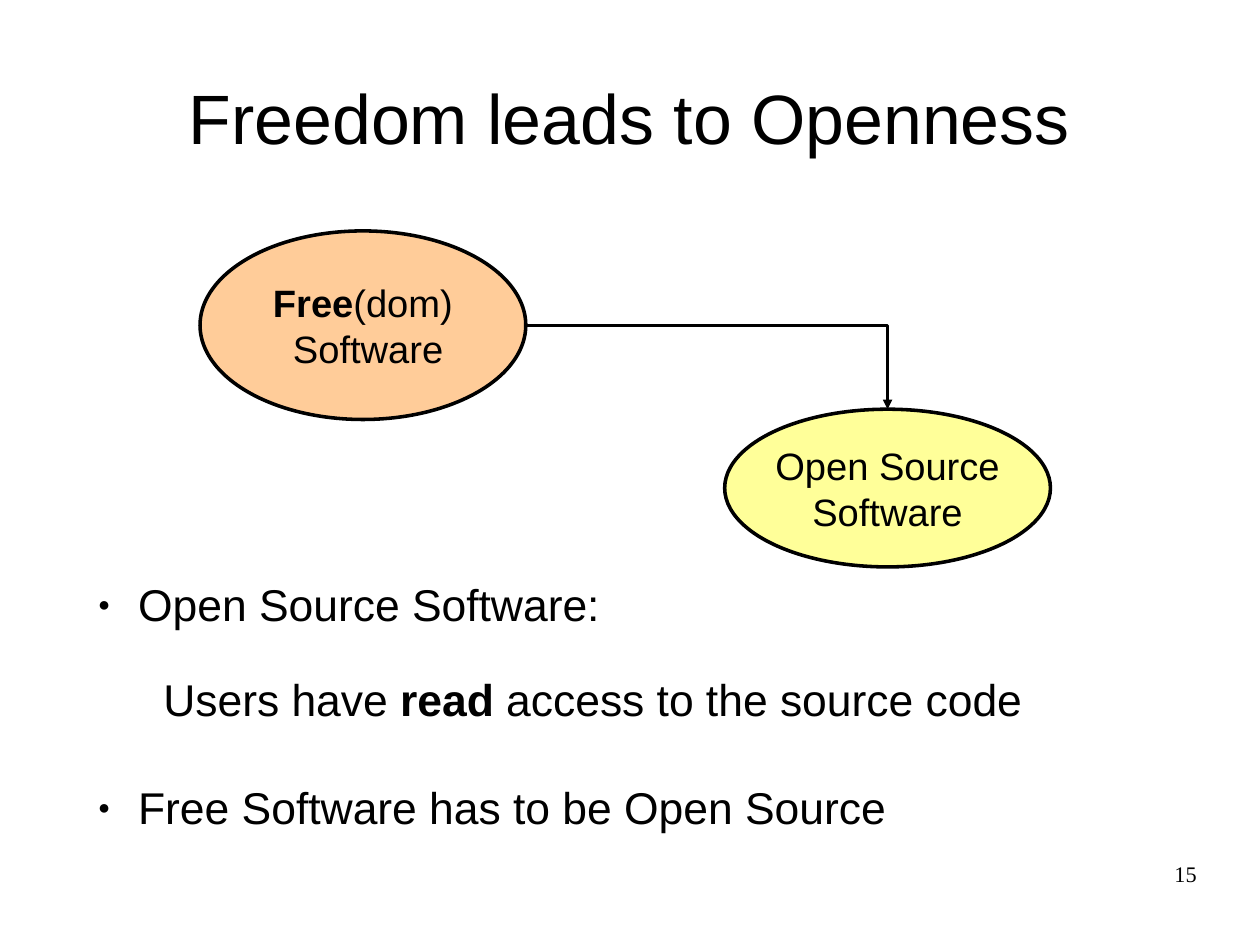
from lxml import etree
from pptx import Presentation
from pptx.dml.color import RGBColor
from pptx.enum.shapes import MSO_CONNECTOR, MSO_SHAPE
from pptx.enum.text import MSO_ANCHOR, PP_ALIGN
from pptx.oxml.ns import qn
from pptx.util import Inches, Pt

ELBOW = MSO_CONNECTOR.ELBOW
OVAL = MSO_SHAPE.OVAL
MIDDLE = MSO_ANCHOR.MIDDLE
LEFT, CENTER, RIGHT = PP_ALIGN.LEFT, PP_ALIGN.CENTER, PP_ALIGN.RIGHT

BLACK = RGBColor(0x00, 0x00, 0x00)
ORANGE = RGBColor(0xFF, 0xCC, 0x99)
YELLOW = RGBColor(0xFF, 0xFF, 0x99)

# Each line is a list of (text, bold) runs.
TITLE = [("Freedom leads to Openness", False)]
FREE_SOFTWARE = [[("Free", True), ("(dom)", False)], [(" Software", False)]]
OPEN_SOURCE = [[("Open Source", False)], [("Software", False)]]
# Runs, bulleted, points of space before
BODY = [
    ([("Open Source Software:", False)], True, 0),
    ([("Users have ", False), ("read", True), (" access to the source code", False)], False, 30),
    ([("Free Software has to be Open Source", False)], True, 37.5),
]
PAGE_NUMBER = [("15", False)]

# The page is 28 by 21 centimetres.
CM_PER_INCH = 2.54
PAGE_SIZE = (28 / CM_PER_INCH, 21 / CM_PER_INCH)
FREE_BOX = (1.75, 2.02, 2.85, 1.65)
OPEN_BOX = (6.34, 3.58, 2.85, 1.38)
OVAL_RIGHT_SITE, OVAL_TOP_SITE = 6, 0


def inches(*values):
    return [Inches(value) for value in values]


def write_runs(paragraph, runs, size, align, font_name="Arial"):
    paragraph.alignment = align
    paragraph.font.name = font_name
    paragraph.font.size = Pt(size)
    paragraph.font.color.rgb = BLACK
    for text, bold in runs:
        run = paragraph.add_run()
        run.text = text
        if bold:
            run.font.bold = True


def next_paragraph(frame, index):
    return frame.add_paragraph() if index else frame.paragraphs[0]


def add_oval(slide, box, fill, lines):
    oval = slide.shapes.add_shape(OVAL, *inches(*box))
    oval.shadow.inherit = False
    oval.fill.solid()
    oval.fill.fore_color.rgb = fill
    oval.line.color.rgb = BLACK
    oval.line.width = Pt(2.25)
    frame = oval.text_frame
    frame.word_wrap = False
    frame.vertical_anchor = MIDDLE
    for index, runs in enumerate(lines):
        write_runs(next_paragraph(frame, index), runs, 24, CENTER)
    return oval


def add_arrow(slide, source, target):
    """Lead from the right of source across, then down to the top of target."""
    arrow = slide.shapes.add_connector(
        ELBOW,
        source.left + source.width, source.top + source.height // 2,
        target.left + target.width // 2, target.top,
    )
    arrow.line.color.rgb = BLACK
    arrow.line.width = Pt(1.75)
    etree.SubElement(arrow.line._get_or_add_ln(), qn("a:tailEnd"), type="triangle")
    properties = arrow._element.spPr
    etree.SubElement(properties, qn("a:effectLst"))
    properties.find(qn("a:prstGeom")).set("prst", "bentConnector2")
    links = arrow._element.find(".//" + qn("p:cNvCxnSpPr"))
    for tag, shape, site in (
        ("a:stCxn", source, OVAL_RIGHT_SITE),
        ("a:endCxn", target, OVAL_TOP_SITE),
    ):
        etree.SubElement(links, qn(tag), id=str(shape.shape_id), idx=str(site))


def set_bullet(paragraph, bulleted):
    properties = paragraph._p.get_or_add_pPr()
    properties.set("marL", str(Inches(0.47 if bulleted else 0.69)))
    properties.set("indent", str(Inches(-0.35 if bulleted else 0)))
    if bulleted:
        etree.SubElement(properties, qn("a:buSzPct"), val="45000")
        etree.SubElement(properties, qn("a:buFont"), typeface="Arial")
        etree.SubElement(properties, qn("a:buChar"), char="●")
    else:
        etree.SubElement(properties, qn("a:buNone"))


def add_body(slide):
    frame = slide.shapes.add_textbox(*inches(0.64, 5.05, 9.92, 2.66)).text_frame
    frame.word_wrap = True
    for index, (runs, bulleted, space_before) in enumerate(BODY):
        paragraph = next_paragraph(frame, index)
        set_bullet(paragraph, bulleted)
        paragraph.line_spacing = 0.9
        paragraph.space_before = Pt(space_before)
        write_runs(paragraph, runs, 28, LEFT)


def add_page_number(slide):
    frame = slide.shapes.add_textbox(*inches(7.9, 7.53, 2.57, 0.57)).text_frame
    frame.word_wrap = True
    frame.margin_left = frame.margin_right = frame.margin_top = frame.margin_bottom = 0
    write_runs(frame.paragraphs[0], PAGE_NUMBER, 14, RIGHT, "Times New Roman")


def main():
    presentation = Presentation()
    presentation.slide_width, presentation.slide_height = inches(*PAGE_SIZE)
    slide = presentation.slides.add_slide(presentation.slide_layouts[5])

    title = slide.shapes.title
    title.left, title.top, title.width, title.height = inches(0.55, 0.33, 9.92, 1.38)
    title.text_frame.vertical_anchor = MIDDLE
    write_runs(title.text_frame.paragraphs[0], TITLE, 44, CENTER)

    free_software = add_oval(slide, FREE_BOX, ORANGE, FREE_SOFTWARE)
    open_source = add_oval(slide, OPEN_BOX, YELLOW, OPEN_SOURCE)
    add_body(slide)
    add_arrow(slide, free_software, open_source)
    add_page_number(slide)
    presentation.save("out.pptx")


if __name__ == "__main__":
    main()
